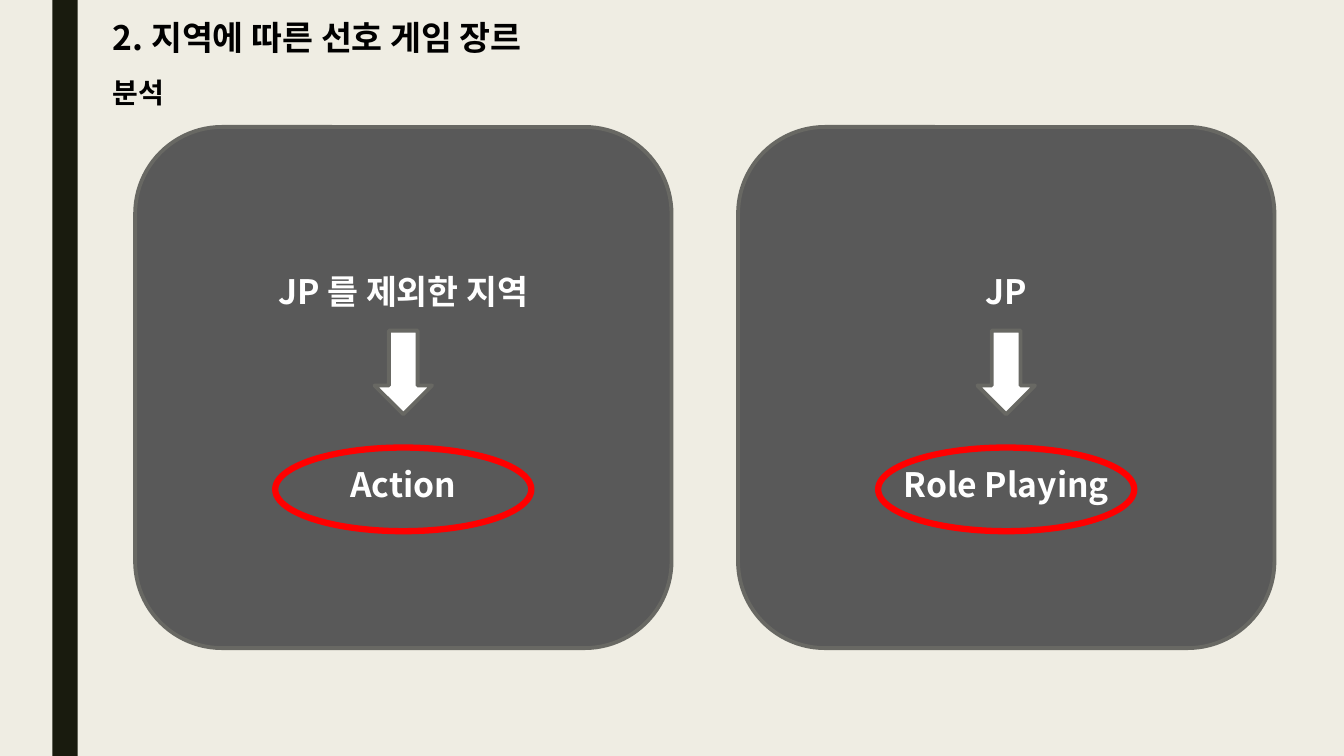
from lxml.etree import SubElement
from pptx import Presentation
from pptx.dml.color import RGBColor
from pptx.enum.shapes import MSO_SHAPE as SHAPE
from pptx.enum.text import MSO_ANCHOR as ANCHOR, MSO_AUTO_SIZE as AUTO_SIZE, PP_ALIGN as ALIGN
from pptx.oxml.ns import qn
from pptx.util import Inches, Pt

CREAM = RGBColor(0xEF, 0xED, 0xE3)
DARK_OLIVE = RGBColor(0x19, 0x1B, 0x0E)
PANEL_GRAY = RGBColor(0x59, 0x59, 0x59)
EDGE_GRAY = RGBColor(0x68, 0x68, 0x63)
RED = RGBColor(0xFF, 0, 0)
WHITE = RGBColor(0xFF, 0xFF, 0xFF)
BLACK = RGBColor(0, 0, 0)
KOREAN_FONT = "Noto Sans CJK KR"

deck = Presentation()
deck.slide_width, deck.slide_height = Inches(13.33), Inches(7.5)
slide = deck.slides.add_slide(deck.slide_layouts[6])
slide.background.fill.solid()
slide.background.fill.fore_color.rgb = CREAM


def add_figure(kind, box, fill=None, line=None, width=2.75):
    figure = slide.shapes.add_shape(kind, *map(Inches, box))
    figure.shadow.inherit = False
    if fill is None:
        figure.fill.background()
    else:
        figure.fill.solid()
        figure.fill.fore_color.rgb = fill
    if line is None:
        figure.line.fill.background()
    else:
        figure.line.color.rgb = line
        figure.line.width = Pt(width)
    return figure


def write(paragraph, text, color, size=24, font=KOREAN_FONT):
    run = paragraph.add_run()
    run.text = text
    for name, value in {"name": font, "size": Pt(size), "bold": True}.items():
        setattr(run.font, name, value)
    run.font.color.rgb = color
    # Hangul takes its typeface from the East Asian font slot
    SubElement(run.font._element, qn("a:ea"), typeface=font)


# Side bar
add_figure(SHAPE.RECTANGLE, (0.52, 0, 0.25, 7.5), DARK_OLIVE)

# Headings
headings = [
    ("2. 지역에 따른 선호 게임 장르", (1.02, 0.12, 4.78, 0.5), 24, KOREAN_FONT),
    ("분석", (1.02, 0.7, 0.75, 0.44), 20, "Roboto"),
]
for text, box, size, font in headings:
    heading = slide.shapes.add_textbox(*map(Inches, box)).text_frame
    heading.word_wrap = False
    heading.auto_size = AUTO_SIZE.SHAPE_TO_FIT_TEXT
    write(heading.paragraphs[0], text, BLACK, size, font)

# Region panels, each with an arrow down to its circled genre
PANEL_WIDTH = 5.32
panels = [(1.34, "JP 를 제외한 지역", "Action"), (7.32, "JP", "Role Playing")]
for left, region, genre in panels:
    center = left + PANEL_WIDTH / 2
    panel = add_figure(SHAPE.ROUNDED_RECTANGLE, (left, 1.26, PANEL_WIDTH, 5.17),
                       PANEL_GRAY, EDGE_GRAY)
    frame = panel.text_frame
    frame.word_wrap = True
    frame.vertical_anchor = ANCHOR.MIDDLE
    region_line, genre_line = frame.paragraphs[0], frame.add_paragraph()
    genre_line.space_before = Pt(109)
    for paragraph, text in ((region_line, region), (genre_line, genre)):
        paragraph.alignment = ALIGN.CENTER
        write(paragraph, text, WHITE)
    add_figure(SHAPE.DOWN_ARROW, (center - 0.285, 3.28, 0.57, 0.83), WHITE, EDGE_GRAY)
    add_figure(SHAPE.OVAL, (center - 1.27, 4.44, 2.54, 0.83), line=RED, width=4.5)

deck.save("out.pptx")
